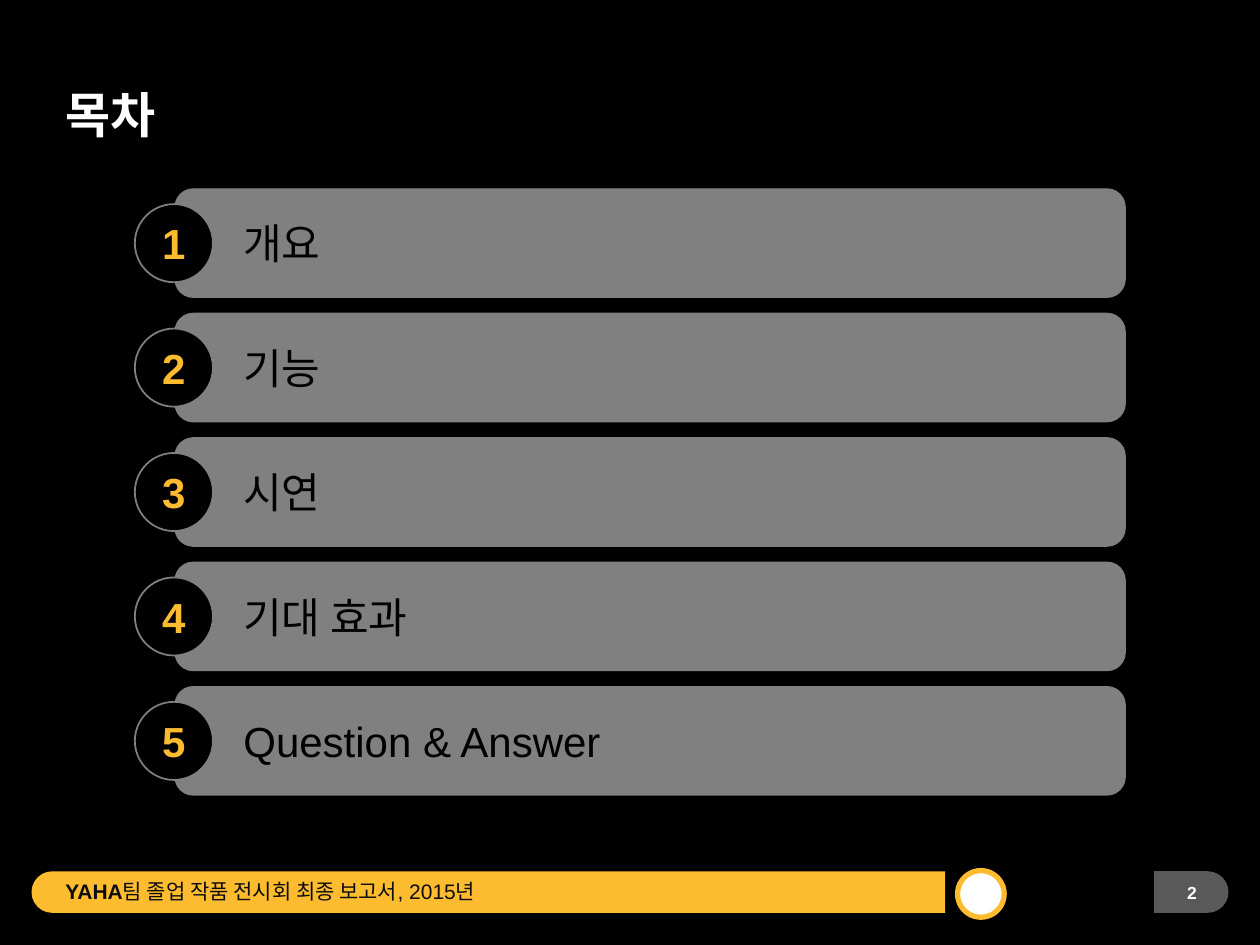
import pptx
import pptx.util
import pptx.dml.color
import pptx.enum.shapes
import pptx.enum.text

TITLE = "목차"
TOPICS = ["개요", "기능", "시연", "기대 효과", "Question & Answer"]
FOOTER = [("YAHA", True), ("팀 졸업 작품 전시회 최종 보고서, 2015년", False)]
PAGE = [("2", True)]
COLORS = {"black": "000000", "white": "FFFFFF", "gold": "FDBB30",
          "bar": "808080", "tab": "595959", "ink": "0D0D0D"}

SLIDE_W, SLIDE_H = 10, 7.5
FIRST_TOP, ROW_PITCH = SLIDE_H * 0.2, 0.9875
BAR_LEFT, BAR_W, BAR_H = 1.39, 7.54, 0.86
BADGE = 0.62
FOOTER_MIDDLE, FOOTER_H = 7.08, 0.33

SHAPES = pptx.enum.shapes.MSO_SHAPE
ANCHORS = pptx.enum.text.MSO_ANCHOR
ALIGNS = pptx.enum.text.PP_ALIGN


def color(name):
    return pptx.dml.color.RGBColor.from_string(COLORS[name])


def box(*lengths):
    return [pptx.util.Inches(length) for length in lengths]


def write(holder, runs, size, ink, align=ALIGNS.LEFT, anchor=ANCHORS.MIDDLE,
          insets=(0.1, 0.05, 0.1, 0.05), wrap=False, spacing=None):
    frame = holder.text_frame
    frame.word_wrap = wrap
    frame.vertical_anchor = anchor
    (frame.margin_left, frame.margin_top,
     frame.margin_right, frame.margin_bottom) = box(*insets)
    paragraph = frame.paragraphs[0]
    paragraph.alignment = align
    paragraph.line_spacing = spacing
    for words, bold in runs:
        run = paragraph.add_run()
        run.text = words
        run.font.name = "Arial"
        run.font.size = pptx.util.Pt(size)
        run.font.bold = bold
        run.font.color.rgb = color(ink)


def draw(shapes, kind, place, fill, line=None, width=1):
    shape = shapes.add_shape(kind, *box(*place))
    shape.shadow.inherit = False
    shape.fill.solid()
    shape.fill.fore_color.rgb = color(fill)
    if line:
        shape.line.color.rgb = color(line)
        shape.line.width = pptx.util.Pt(width)
    else:
        shape.line.fill.background()
    return shape


def footer_tab(shapes, left, length, rotation, fill):
    place = (left + (length - FOOTER_H) / 2, FOOTER_MIDDLE - length / 2,
             FOOTER_H, length)
    tab = draw(shapes, SHAPES.ROUND_2_SAME_RECTANGLE, place, fill)
    tab.adjustments[0] = 0.5
    tab.adjustments[1] = 0
    tab.rotation = rotation


def topic_row(shapes, index, topic):
    top = FIRST_TOP + index * ROW_PITCH
    row = shapes.add_group_shape().shapes
    bar = draw(row, SHAPES.ROUNDED_RECTANGLE, (BAR_LEFT, top, BAR_W, BAR_H),
               "bar", "bar", 0.75)
    write(bar, [(topic, False)], 24, "black", insets=(0.5, 0.05, 0.1, 0.05))
    badge = draw(row, SHAPES.OVAL,
                 (BAR_LEFT - BADGE / 2 - 0.01, top + (BAR_H - BADGE) / 2, BADGE, BADGE),
                 "black", "bar")
    write(badge, [(str(index + 1), True)], 24, "gold", align=ALIGNS.CENTER)


def main():
    deck = pptx.Presentation()
    deck.slide_width, deck.slide_height = box(SLIDE_W, SLIDE_H)
    slide = deck.slides.add_slide(deck.slide_layouts[6])
    slide.background.fill.solid()
    slide.background.fill.fore_color.rgb = color("black")
    shapes = slide.shapes

    footer_tab(shapes, 0.25, 7.25, 270, "gold")
    footer_tab(shapes, 9.16, 0.59, 90, "tab")
    draw(shapes, SHAPES.OVAL, (7.6, 6.91, 0.37, 0.37), "white", "gold", 3)

    title = shapes.add_textbox(*box(0.42, 0.27, 9.17, 0.92))
    write(title, [(TITLE, True)], 28, "white", anchor=ANCHORS.BOTTOM,
          wrap=True, spacing=0.9)
    footer = shapes.add_textbox(*box(0.42, 6.95, 4.58, 0.25))
    write(footer, FOOTER, 12, "ink", insets=(0.1,) * 4)
    page = shapes.add_textbox(*box(9.35, 7, 0.17, 0.17))
    write(page, PAGE, 10, "white", insets=(0.1,) * 4)

    for index, topic in enumerate(TOPICS):
        topic_row(shapes, index, topic)
    deck.save("out.pptx")


if __name__ == "__main__":
    main()
